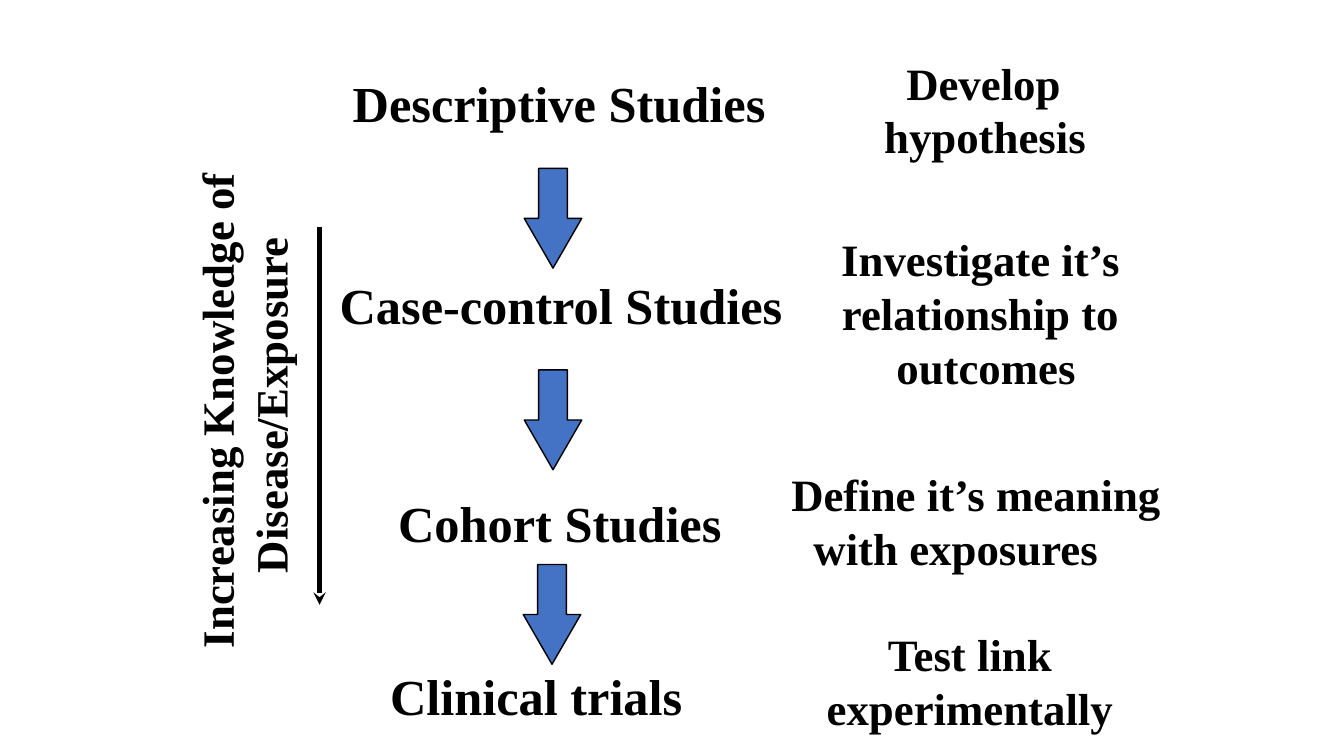
from dataclasses import dataclass

from lxml import etree
from pptx import Presentation
from pptx.dml.color import RGBColor
from pptx.enum import shapes, text
from pptx.oxml.ns import qn
from pptx.util import Inches, Pt


@dataclass(frozen=True)
class Theme:
    font: str = "Times New Roman"
    ink: RGBColor = RGBColor(0, 0, 0)
    arrow: RGBColor = RGBColor(0x44, 0x72, 0xC4)
    study_size: int = 36
    note_size: int = 32


class StudySlide:
    def __init__(self, s, theme):
        self.s = s
        self.theme = theme

    def text(self, lines, x, y, w, h, size, align="LEFT", rotation=0, margins=()):
        """Add a text box; margins lists (line number, "marL" or "marR", inches)."""
        sp = self.s.shapes.add_textbox(Inches(x), Inches(y), Inches(w), Inches(h))
        sp.rotation = rotation
        tf = sp.text_frame
        tf.word_wrap = False
        tf.auto_size = text.MSO_AUTO_SIZE.SHAPE_TO_FIT_TEXT
        for i, line in enumerate(lines):
            p = tf.add_paragraph() if i else tf.paragraphs[0]
            p.alignment = text.PP_ALIGN[align]
            for number, side, inches in margins:
                if number == i:
                    p._p.get_or_add_pPr().set(side, str(Inches(inches)))
            r = p.add_run()
            r.text = line
            r.font.name = self.theme.font
            r.font.size = Pt(size)
            r.font.bold = True
            r.font.color.rgb = self.theme.ink

    def study(self, name, x, y, w):
        self.text([name], x, y, w, 0.7, self.theme.study_size)

    def note(self, lines, x, y, w, h=1.18, **fmt):
        self.text(lines, x, y, w, h, self.theme.note_size, **fmt)

    def block_arrow(self, x, y):
        sp = self.s.shapes.add_shape(
            shapes.MSO_SHAPE.DOWN_ARROW, Inches(x), Inches(y), Inches(0.57), Inches(0.99))
        sp.adjustments[0] = 0.5
        sp.adjustments[1] = 0.866
        sp.shadow.inherit = False
        sp.fill.solid()
        sp.fill.fore_color.rgb = self.theme.arrow
        sp.line.color.rgb = self.theme.ink
        sp.line.width = Pt(1)

    def line_arrow(self, x, top, bottom):
        cx = self.s.shapes.add_connector(
            shapes.MSO_CONNECTOR.STRAIGHT, Inches(x), Inches(top), Inches(x), Inches(bottom))
        cx.line.color.rgb = self.theme.ink
        cx.line.width = Pt(3)
        etree.SubElement(cx.line._get_or_add_ln(), qn("a:tailEnd"), type="stealth")
        etree.SubElement(cx._element.spPr, qn("a:effectLst"))


def main():
    prs = Presentation()
    prs.slide_width = Inches(13.33)
    prs.slide_height = Inches(7.5)
    slide = StudySlide(prs.slides.add_slide(prs.slide_layouts[6]), Theme())

    for name, x, y, w in (
        ("Descriptive Studies", 3.4, 0.67, 4.34),
        ("Case-control Studies", 3.27, 2.67, 4.6),
        ("Cohort Studies", 3.85, 4.83, 3.44),
        ("Clinical trials", 3.77, 6.55, 3.1),
    ):
        slide.study(name, x, y, w)

    for x, y in ((5.2, 1.67), (5.2, 3.67), (5.19, 5.6)):
        slide.block_arrow(x, y)

    slide.note(["Develop", "hypothesis"], 8.67, 0.5, 2.22, margins=[(0, "marL", 0.22)])
    slide.note(["Investigate it’s", "relationship to", "outcomes"], 8.23, 2.25, 2.99, 1.71,
               align="CENTER", margins=[(2, "marL", 0.11)])
    slide.note(["Define it’s meaning", "with exposures"], 7.75, 4.58, 3.9,
               margins=[(1, "marL", 0.22)])
    slide.note(["Test link", "experimentally"], 8.07, 6.17, 3.21,
               align="CENTER", margins=[(0, "marR", 0.11)])
    slide.note(["Increasing Knowledge of", "Disease/Exposure"], -0.1, 3.43, 5.03,
               align="CENTER", rotation=270,
               margins=[(0, "marR", 0.11), (1, "marL", 0.11)])
    slide.line_arrow(3.17, 2.25, 6)

    prs.save("out.pptx")


if __name__ == "__main__":
    main()
